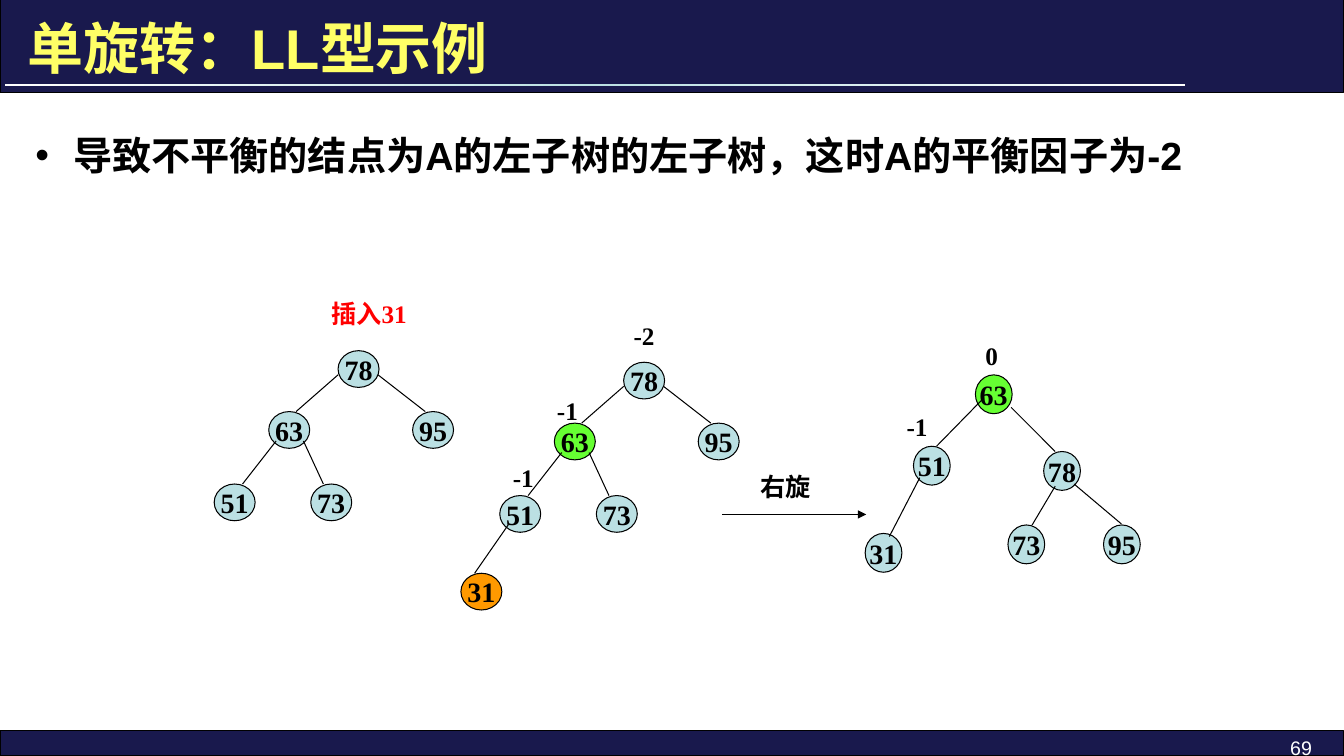
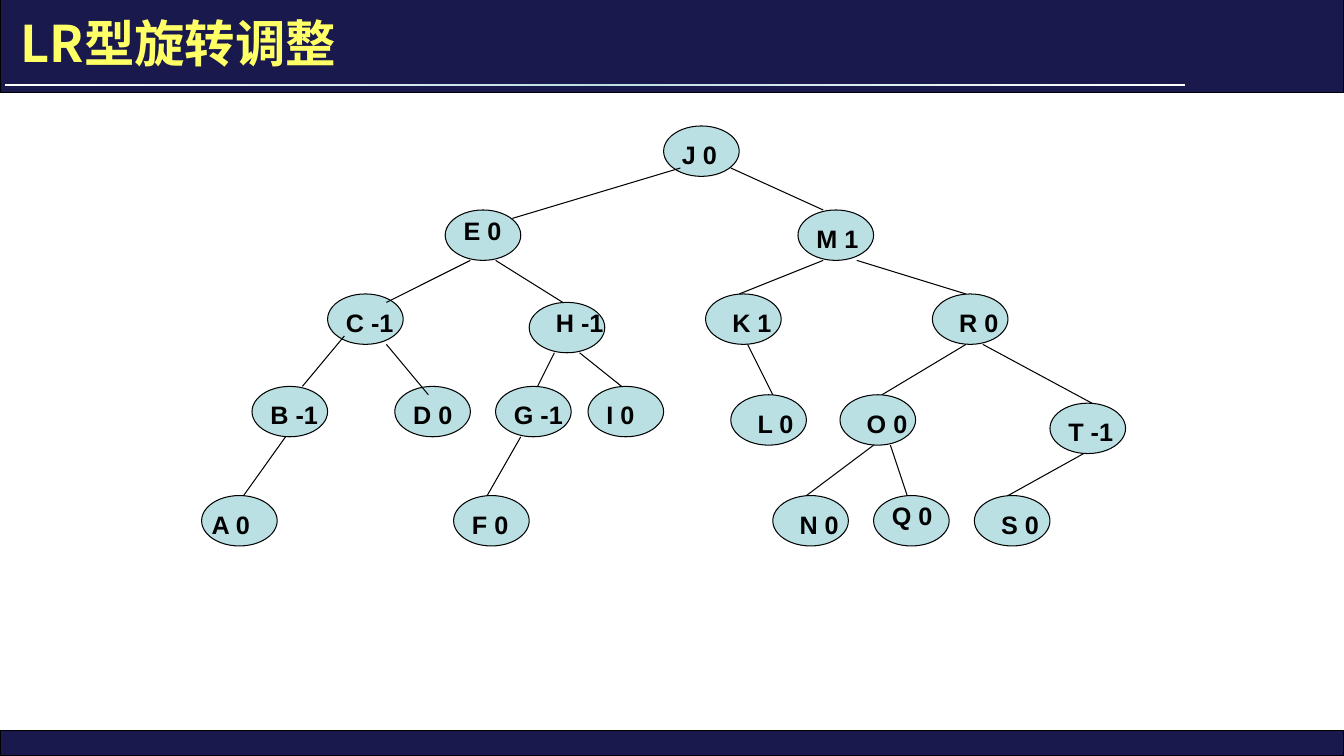
from copy import deepcopy
from dataclasses import dataclass
from typing import NamedTuple

from lxml.etree import SubElement
from pptx import Presentation
from pptx.dml.color import RGBColor
from pptx.enum.shapes import MSO_CONNECTOR, MSO_SHAPE
from pptx.enum.text import MSO_ANCHOR, MSO_AUTO_SIZE, PP_ALIGN
from pptx.oxml.ns import qn
from pptx.util import Pt

EMU_PER_PX = 9525


def px(length: int) -> int:
    return length * EMU_PER_PX


# Theme
@dataclass(frozen=True)
class Theme:
    navy: str = "19194D"
    yellow: str = "FFFF66"
    white: str = "FFFFFF"
    black: str = "000000"
    red: str = "FF0000"
    bullet: str = "333399"
    pale: str = "BBE0E3"
    green: str = "66FF33"
    orange: str = "FF9900"
    sans: str = "Arial"
    serif: str = "Times New Roman"
    chinese: str = "Noto Sans CJK SC"
    title: int = 40
    small_title: int = 36
    body: int = 28
    node: int = 20
    label: int = 18
    footer: int = 14
    line: float = 0.75


THEME = Theme()


class Area(NamedTuple):
    left: int
    top: int
    width: int
    height: int


class Style(NamedTuple):
    size: int
    font: str = THEME.sans
    color: str = THEME.black
    bold: bool = True
    align: PP_ALIGN = PP_ALIGN.LEFT


class Edge(NamedTuple):
    x1: int
    y1: int
    x2: int
    y2: int


class Node(NamedTuple):
    key: str
    left: int
    top: int
    fill: str = THEME.pale


class BalanceNode(NamedTuple):
    text: str
    left: int
    top: int
    text_dx: int = 8
    text_dy: int = 8


# Text and shape helpers
def write(frame, text: str, style: Style, anchor=MSO_ANCHOR.TOP, wrap: bool = True):
    frame.auto_size = MSO_AUTO_SIZE.NONE
    frame.word_wrap = wrap
    frame.vertical_anchor = anchor
    frame.text = text
    para = frame.paragraphs[0]
    para.alignment = style.align
    para.space_before = Pt(0)
    font = para.font
    font.size, font.name, font.bold = Pt(style.size), style.font, style.bold
    font.color.rgb = RGBColor.from_string(style.color)
    properties = para._p.pPr.find(qn("a:defRPr"))
    SubElement(properties, qn("a:ea")).set("typeface", THEME.chinese)


def place(shape, area: Area) -> None:
    shape.left, shape.top, shape.width, shape.height = map(px, area)


def add_text(page, area: Area, text: str, style: Style, wrap: bool = True) -> None:
    box = page.shapes.add_textbox(*map(px, area))
    write(box.text_frame, text, style, wrap=wrap)


def add_block(page, kind, area: Area, fill: str):
    shape = page.shapes.add_shape(kind, *map(px, area))
    shape.shadow.inherit = False
    shape.fill.solid()
    shape.fill.fore_color.rgb = RGBColor.from_string(fill)
    shape.line.color.rgb = RGBColor.from_string(THEME.black)
    shape.line.width = Pt(THEME.line)
    return shape


def add_edge(page, edge: Edge, arrow: bool = False) -> None:
    line = page.shapes.add_connector(MSO_CONNECTOR.STRAIGHT, *map(px, edge))
    line.line.color.rgb = RGBColor.from_string(THEME.black)
    line.line.width = Pt(THEME.line)
    if arrow:
        SubElement(line.line._get_or_add_ln(), qn("a:tailEnd")).set("type", "triangle")
    SubElement(line.element.spPr, qn("a:effectLst"))


def add_title(page, area: Area, text: str, style: Style, anchor) -> None:
    title = page.shapes.title
    place(title, area)
    write(title.text_frame, text, style, anchor)


# Shared bands, kept on the slide master
def add_bands(deck, page) -> None:
    footer = add_block(page, MSO_SHAPE.RECTANGLE, Area(0, 696, 1280, 24), THEME.navy)
    header = add_block(page, MSO_SHAPE.RECTANGLE, Area(0, 0, 1280, 88), THEME.navy)
    rule = add_block(page, MSO_SHAPE.RECTANGLE, Area(5, 80, 1124, 2), THEME.white)
    rule.line.fill.background()
    rule.fill.gradient()
    rule.fill.gradient_angle = 0
    stops = rule.element.spPr.find(".//" + qn("a:gsLst"))
    stops.insert(1, deepcopy(stops[0]))
    colors = (THEME.white, THEME.pale, THEME.white)
    for index, (stop, color) in enumerate(zip(rule.fill.gradient_stops, colors)):
        stop.color.rgb = RGBColor.from_string(color)
        stop.position = index / 2
    tree = deck.slide_master.element.cSld.spTree
    for index, shape in enumerate((footer, header, rule)):
        shape.element.nvSpPr.cNvPr.set("id", str(100 + index))
        tree.insert(2 + index, shape.element)


# Search trees of the LL example
START_NODES = (
    Node("51", 204, 461), Node("73", 296, 461), Node("95", 393, 392),
    Node("63", 256, 392), Node("78", 322, 334),
)
START_EDGES = (
    Edge(263, 420, 231, 461), Edge(289, 420, 308, 461),
    Edge(322, 357, 282, 392), Edge(360, 357, 405, 392),
)
INSERT_SHIFT = (272, 11)
ROTATED_NODES = (
    Node("31", 824, 508), Node("51", 870, 425), Node("78", 994, 430),
    Node("95", 1051, 500), Node("63", 929, 357, THEME.green), Node("73", 960, 500),
)
ROTATED_EDGES = (
    Edge(876, 455, 847, 511), Edge(937, 379, 892, 425), Edge(963, 388, 1005, 430),
    Edge(1005, 463, 983, 500), Edge(1023, 461, 1068, 499),
)
LABELS = (
    ("-2", 594, 300), ("-1", 521, 372), ("-1", 479, 436),
    ("0", 929, 319), ("-1", 854, 387), ("右旋", 715, 444),
)


def add_tree(page, nodes, edges, size: tuple[int, int]) -> None:
    style = Style(THEME.node, THEME.serif, align=PP_ALIGN.CENTER)
    for node in nodes:
        area = Area(node.left, node.top, *size)
        shape = add_block(page, MSO_SHAPE.FLOWCHART_CONNECTOR, area, node.fill)
        write(shape.text_frame, node.key, style, MSO_ANCHOR.MIDDLE, wrap=False)
    for edge in edges:
        add_edge(page, edge)


def inserted_tree() -> tuple[list[Node], list[Edge]]:
    dx, dy = INSERT_SHIFT
    nodes = [Node("31", 439, 546, THEME.orange)]
    for key, left, top, fill in START_NODES:
        nodes.append(Node(key, left + dx, top + dy, THEME.green if key == "63" else fill))
    edges = [Edge(484, 500, 452, 546)]
    edges += [Edge(e.x1 + dx, e.y1 + dy, e.x2 + dx, e.y2 + dy) for e in START_EDGES]
    return nodes, edges


def add_bullet_text(body, text: str) -> None:
    place(body, Area(24, 120, 1210, 69))
    para = body.text_frame.paragraphs[0]
    para.line_spacing = 1.5
    properties = para._p.get_or_add_pPr()
    properties.set("marL", str(px(36)))
    properties.set("indent", str(-px(36)))
    color = SubElement(properties, qn("a:buClr"))
    SubElement(color, qn("a:srgbClr")).set("val", THEME.bullet)
    SubElement(properties, qn("a:buChar")).set("char", "➢")
    write(body.text_frame, text, Style(THEME.body))


def build_ll_page(page) -> None:
    add_title(page, Area(17, -1, 1013, 83), "单旋转：LL型示例",
              Style(THEME.title, color=THEME.yellow), MSO_ANCHOR.BOTTOM)
    add_bullet_text(page.placeholders[1],
                    "导致不平衡的结点为A的左子树的左子树，这时A的平衡因子为-2")
    add_text(page, Area(1067, 696, 192, 24), "69",
             Style(THEME.footer, color=THEME.white, bold=False, align=PP_ALIGN.RIGHT))
    add_tree(page, START_NODES, START_EDGES, (39, 35))
    add_tree(page, *inserted_tree(), (39, 35))
    add_tree(page, ROTATED_NODES, ROTATED_EDGES, (35, 37))
    add_edge(page, Edge(688, 490, 825, 490), arrow=True)
    for text, left, top in LABELS:
        width = 68 if text == "右旋" else 40
        add_text(page, Area(left, top, width, 38), text,
                 Style(THEME.label, THEME.serif), wrap=False)
    add_text(page, Area(280, 279, 143, 38), "插入31",
             Style(THEME.label, THEME.serif, THEME.red, align=PP_ALIGN.CENTER))


# Balanced tree of the LR page
BALANCE_NODES = (
    BalanceNode("J 0", 632, 120), BalanceNode("E 0", 424, 200, text_dy=0),
    BalanceNode("M 1", 760, 200), BalanceNode("C -1", 312, 280),
    BalanceNode("H -1", 504, 288, 16, 0), BalanceNode("K 1", 672, 280, 16),
    BalanceNode("R 0", 888, 280, 16), BalanceNode("B -1", 240, 368),
    BalanceNode("D 0", 376, 368), BalanceNode("G -1", 472, 368),
    BalanceNode("I 0", 560, 368), BalanceNode("L 0", 696, 376, 16),
    BalanceNode("O 0", 800, 376, 16), BalanceNode("T -1", 1000, 384),
    BalanceNode("A 0", 192, 472, 0), BalanceNode("F 0", 432, 472),
    BalanceNode("N 0", 736, 472, 16), BalanceNode("Q 0", 832, 472, text_dy=0),
    BalanceNode("S 0", 928, 472, 16),
)
BALANCE_EDGES = (
    Edge(648, 160, 488, 208), Edge(696, 160, 784, 200), Edge(448, 248, 368, 288),
    Edge(472, 248, 536, 288), Edge(328, 320, 288, 368), Edge(368, 328, 408, 376),
    Edge(272, 416, 232, 472), Edge(816, 248, 920, 280), Edge(784, 248, 704, 280),
    Edge(496, 416, 464, 472), Edge(552, 336, 592, 368), Edge(712, 328, 736, 376),
    Edge(528, 336, 512, 368), Edge(920, 328, 840, 376), Edge(936, 328, 1040, 384),
    Edge(1032, 432, 960, 472), Edge(848, 424, 864, 472), Edge(832, 424, 768, 472),
)


def build_lr_page(page) -> None:
    add_title(page, Area(10, 8, 1110, 64), "LR型旋转调整",
              Style(THEME.small_title, THEME.chinese, THEME.yellow), MSO_ANCHOR.MIDDLE)
    for node in BALANCE_NODES:
        add_block(page, MSO_SHAPE.OVAL, Area(node.left, node.top, 72, 48), THEME.pale)
    for edge in BALANCE_EDGES:
        add_edge(page, edge)
    for node in BALANCE_NODES:
        area = Area(node.left + node.text_dx, node.top + node.text_dy, 72, 38)
        add_text(page, area, node.text, Style(THEME.label))


def main() -> None:
    deck = Presentation()
    deck.slide_width, deck.slide_height = px(1280), px(720)
    ll_page = deck.slides.add_slide(deck.slide_layouts[1])
    add_bands(deck, ll_page)
    build_ll_page(ll_page)
    build_lr_page(deck.slides.add_slide(deck.slide_layouts[5]))
    deck.save("out.pptx")


if __name__ == "__main__":
    main()
